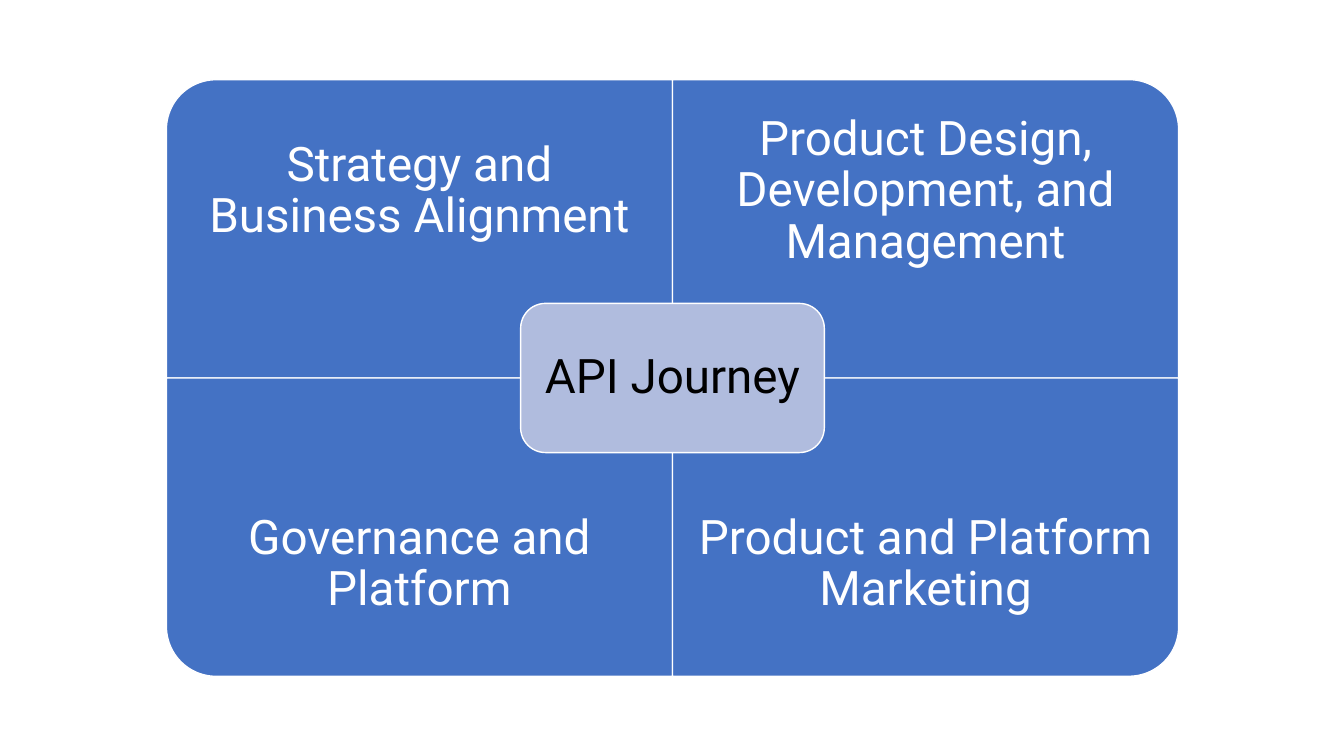
"""Build the API Journey slide: four rounded quadrants around a central label."""
from dataclasses import dataclass

from pptx import Presentation
from pptx.dml.color import RGBColor
from pptx.enum.shapes import MSO_SHAPE as Preset
from pptx.enum.text import MSO_ANCHOR as Anchor, PP_ALIGN as Align
from pptx.util import Inches, Pt


@dataclass(frozen=True)
class Theme:
    quadrant: RGBColor = RGBColor.from_string("4472C4")
    center: RGBColor = RGBColor.from_string("B0BCDE")
    white: RGBColor = RGBColor.from_string("FFFFFF")
    black: RGBColor = RGBColor.from_string("000000")
    font: str = "Roboto"
    size: int = 34
    outline: int = 1


theme = Theme()


def add_panel(preset, left, top, width, height, fill):
    panel = page.shapes.add_shape(preset, Inches(left), Inches(top), Inches(width), Inches(height))
    panel.shadow.inherit = False
    panel.fill.solid()
    panel.fill.fore_color.rgb = fill
    panel.line.color.rgb = theme.white
    panel.line.width = Pt(theme.outline)
    return panel


def write_label(box, text, color, inset):
    frame = box.text_frame
    frame.text = text
    frame.word_wrap = True
    frame.vertical_anchor = Anchor.MIDDLE
    frame.margin_left = frame.margin_right = Inches(inset)
    frame.margin_top = frame.margin_bottom = Inches(inset)
    para = frame.paragraphs[0]
    para.alignment = Align.CENTER
    para.line_spacing = 0.9
    span = para.runs[0]
    span.font.name = theme.font
    span.font.size = Pt(theme.size)
    span.font.color.rgb = color


deck = Presentation()
deck.slide_width, deck.slide_height = Inches(13.33), Inches(7.5)
page = deck.slides.add_slide(deck.slide_layouts[6])

middle_x, middle_y = 6.67, 3.75
quad_width, quad_height = 5.02, 2.96
label_height = quad_height * 0.75
center_width, center_height = quad_width * 0.6, quad_height / 2

quadrants = [
    ("Strategy and Business Alignment", 0, 0, 270),
    ("Product Design, Development, and Management", 1, 0, 0),
    ("Governance and Platform", 0, 1, 180),
    ("Product and Platform Marketing", 1, 1, 90),
]

for text, column, row, rotation in quadrants:
    left = middle_x + (column - 1) * quad_width
    top = middle_y + (row - 1) * quad_height
    sideways = rotation in (90, 270)
    width, height = (quad_height, quad_width) if sideways else (quad_width, quad_height)
    panel_left = left + (quad_width - width) / 2
    panel_top = top + (quad_height - height) / 2
    panel = add_panel(Preset.ROUND_1_RECTANGLE, panel_left, panel_top, width, height, theme.quadrant)
    panel.rotation = rotation
    label_top = top + row * (quad_height - label_height)
    label = page.shapes.add_textbox(
        Inches(left), Inches(label_top), Inches(quad_width), Inches(label_height)
    )
    write_label(label, text, theme.white, 0.26)

center = add_panel(
    Preset.ROUNDED_RECTANGLE,
    middle_x - center_width / 2,
    middle_y - center_height / 2,
    center_width,
    center_height,
    theme.center,
)
write_label(center, "API Journey", theme.black, 0.14)

deck.save("out.pptx")
